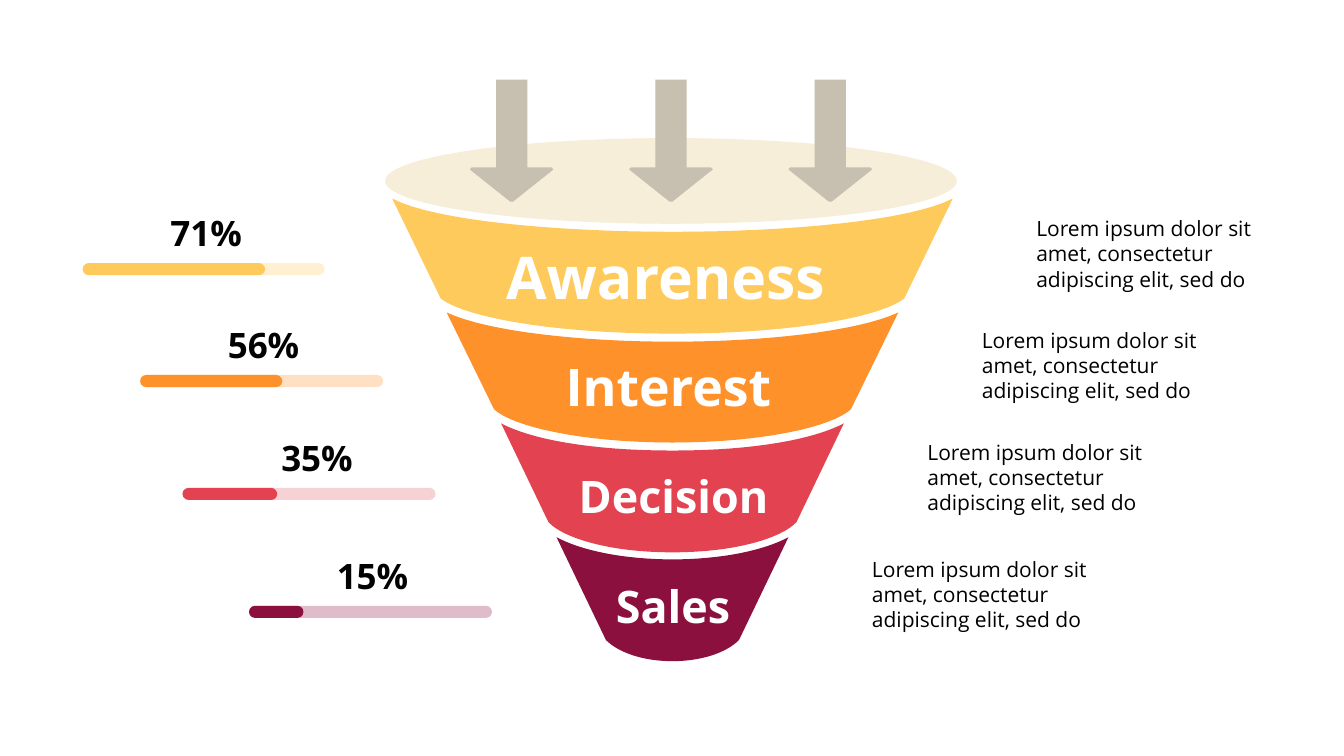
from pptx import Presentation
from pptx import util as u
from pptx.dml.color import RGBColor
from pptx.enum import shapes

WHITE = RGBColor(0xFF, 0xFF, 0xFF)
BLACK = RGBColor(0, 0, 0)
INK = RGBColor(0x02, 0x02, 0x02)
RIM = RGBColor(0xF7, 0xEE, 0xDA)
ARROW = RGBColor(0xC7, 0xBF, 0xAF)
YELLOW, PALE_YELLOW = RGBColor(0xFF, 0xCA, 0x5C), RGBColor(0xFF, 0xF0, 0xD1)
ORANGE, PALE_ORANGE = RGBColor(0xFE, 0x91, 0x2A), RGBColor(0xFF, 0xE0, 0xC2)
RED, PALE_RED = RGBColor(0xE3, 0x42, 0x50), RGBColor(0xF7, 0xD2, 0xD5)
WINE, PALE_WINE = RGBColor(0x8B, 0x10, 0x3E), RGBColor(0xE0, 0xBC, 0xCA)

FONT = "Open Sans"
DESCRIPTION = "Lorem ipsum dolor sit amet, consectetur adipiscing elit, sed do"
STAGES = [
    dict(name="Awareness", size=42, label=(5.02, 2.39, 3.29, 0.71), colour=YELLOW, pale=PALE_YELLOW,
         top=[(3.89, 1.97), (4.31, 2.19), (5.52, 2.3), (6.67, 2.3)],
         bottom=[(4.37, 2.96), (4.56, 3.12), (5.36, 3.31), (6.67, 3.31)],
         percent="71%", percent_left=1.69, bar_top=2.61, track=(0.82, 2.4), bar=(0.82, 1.81), note=(10.18, 2.09)),
    dict(name="Interest", size=37, label=(5.61, 3.52, 2.19, 0.62), colour=ORANGE, pale=PALE_ORANGE,
         top=[(4.43, 3.1), (4.84, 3.29), (5.77, 3.39), (6.67, 3.39)],
         bottom=[(4.9, 4.06), (5.08, 4.23), (5.76, 4.39), (6.67, 4.39)],
         percent="56%", percent_left=2.26, bar_top=3.72, track=(1.39, 2.41), bar=(1.39, 1.41), note=(9.64, 3.2)),
    dict(name="Decision", size=32, label=(5.74, 4.65, 1.94, 0.54), colour=RED, pale=PALE_RED,
         top=[(4.97, 4.2), (5.25, 4.35), (5.83, 4.47), (6.67, 4.47)],
         bottom=[(5.44, 5.18), (5.59, 5.34), (6.05, 5.48), (6.67, 5.48)],
         percent="35%", percent_left=2.79, bar_top=4.84, track=(1.91, 2.41), bar=(1.81, 0.94), note=(9.1, 4.31)),
    dict(name="Sales", size=32, label=(6.11, 5.74, 1.27, 0.54), colour=WINE, pale=PALE_WINE,
         top=[(5.52, 5.33), (5.76, 5.46), (6.18, 5.55), (6.67, 5.55)],
         bottom=[(6.01, 6.35), (6.14, 6.48), (6.39, 6.56), (6.67, 6.56)],
         percent="15%", percent_left=3.34, bar_top=6.01, track=(2.47, 2.41), bar=(2.47, 0.54), note=(8.55, 5.47)),
]
CENTRE = 6.67
CURVE_STEPS = 16
ARROW_COUNT, FIRST_SHAFT, ARROW_STEP = 3, 4.92, 1.58
SHAFT_TOP, SHAFT_WIDTH, SHAFT_HEIGHT = 0.79, 0.31, 1.01
HEAD_TOP, HEAD_OVERHANG = 1.66, 0.26
HEAD = [(0, 0.02), (0.02, 0), (0.81, 0), (0.83, 0.02), (0.82, 0.03), (0.43, 0.34), (0.4, 0.34), (0.01, 0.03)]
BAR_HEIGHT = 0.12


def paint(shape, colour):
    shape.shadow.inherit = False
    shape.fill.solid()
    shape.fill.fore_color.rgb = colour
    shape.line.fill.background()
    return shape


def add_preset(parent, kind, box, colour):
    return paint(parent.add_shape(kind, *map(u.Inches, box)), colour)


def add_outline(parent, points, colour):
    corners = [(u.Inches(x), u.Inches(y)) for x, y in points]
    builder = parent.build_freeform(*corners[0])
    builder.add_line_segments(corners[1:], close=True)
    return paint(builder.convert_to_shape(), colour)


def add_text(parent, words, box, size, colour, bold=False, margins=(0, 0)):
    frame = parent.add_textbox(*map(u.Inches, box)).text_frame
    across, down = map(u.Inches, margins)
    layout = dict(word_wrap=True, margin_left=across, margin_right=across, margin_top=down, margin_bottom=down)
    for name, value in layout.items():
        setattr(frame, name, value)
    run = frame.paragraphs[0].add_run()
    run.text = words
    for name, value in dict(name=FONT, size=u.Pt(size), bold=bold).items():
        setattr(run.font, name, value)
    run.font.color.rgb = colour


def symmetric_arc(controls):
    half = []
    for step in range(CURVE_STEPS + 1):
        t = step / CURVE_STEPS
        weights = ((1 - t) ** 3, 3 * t * (1 - t) ** 2, 3 * t * t * (1 - t), t ** 3)
        half.append(tuple(sum(w * point[axis] for w, point in zip(weights, controls)) for axis in (0, 1)))
    return half + [(2 * CENTRE - x, y) for x, y in reversed(half[:-1])]


def add_stage(slide, stage):
    band = slide.shapes.add_group_shape().shapes
    outline = symmetric_arc(stage["top"]) + symmetric_arc(stage["bottom"])[::-1]
    add_outline(band, outline, stage["colour"])
    add_text(band, stage["name"], stage["label"], stage["size"], WHITE, bold=True)
    for part, colour in (("track", stage["pale"]), ("bar", stage["colour"])):
        left, width = stage[part]
        box = (left, stage["bar_top"], width, BAR_HEIGHT)
        pill = add_preset(slide.shapes, shapes.MSO_SHAPE.ROUNDED_RECTANGLE, box, colour)
        pill.adjustments[0] = 0.5
    percent_box = (stage["percent_left"], stage["bar_top"] - 0.51, 0.92, 0.57)
    add_text(slide.shapes, stage["percent"], percent_box, 25, INK, bold=True)
    add_text(slide.shapes, DESCRIPTION, (*stage["note"], 2.56, 0.86), 15, BLACK, margins=(0.1, 0.05))


def add_arrow(slide, left):
    arrow = slide.shapes.add_group_shape().shapes
    shaft = (left, SHAFT_TOP, SHAFT_WIDTH, SHAFT_HEIGHT)
    add_preset(arrow, shapes.MSO_SHAPE.RECTANGLE, shaft, ARROW)
    add_outline(arrow, [(left - HEAD_OVERHANG + x, HEAD_TOP + y) for x, y in HEAD], ARROW)


def main():
    presentation = Presentation()
    presentation.slide_width = u.Inches(13.33)
    presentation.slide_height = u.Inches(7.5)
    slide = presentation.slides.add_slide(presentation.slide_layouts[6])
    add_preset(slide.shapes, shapes.MSO_SHAPE.OVAL, (3.82, 1.37, 5.67, 0.85), RIM)
    for stage in STAGES:
        add_stage(slide, stage)
    for index in range(ARROW_COUNT):
        add_arrow(slide, FIRST_SHAFT + index * ARROW_STEP)
    presentation.save("out.pptx")


if __name__ == "__main__":
    main()
